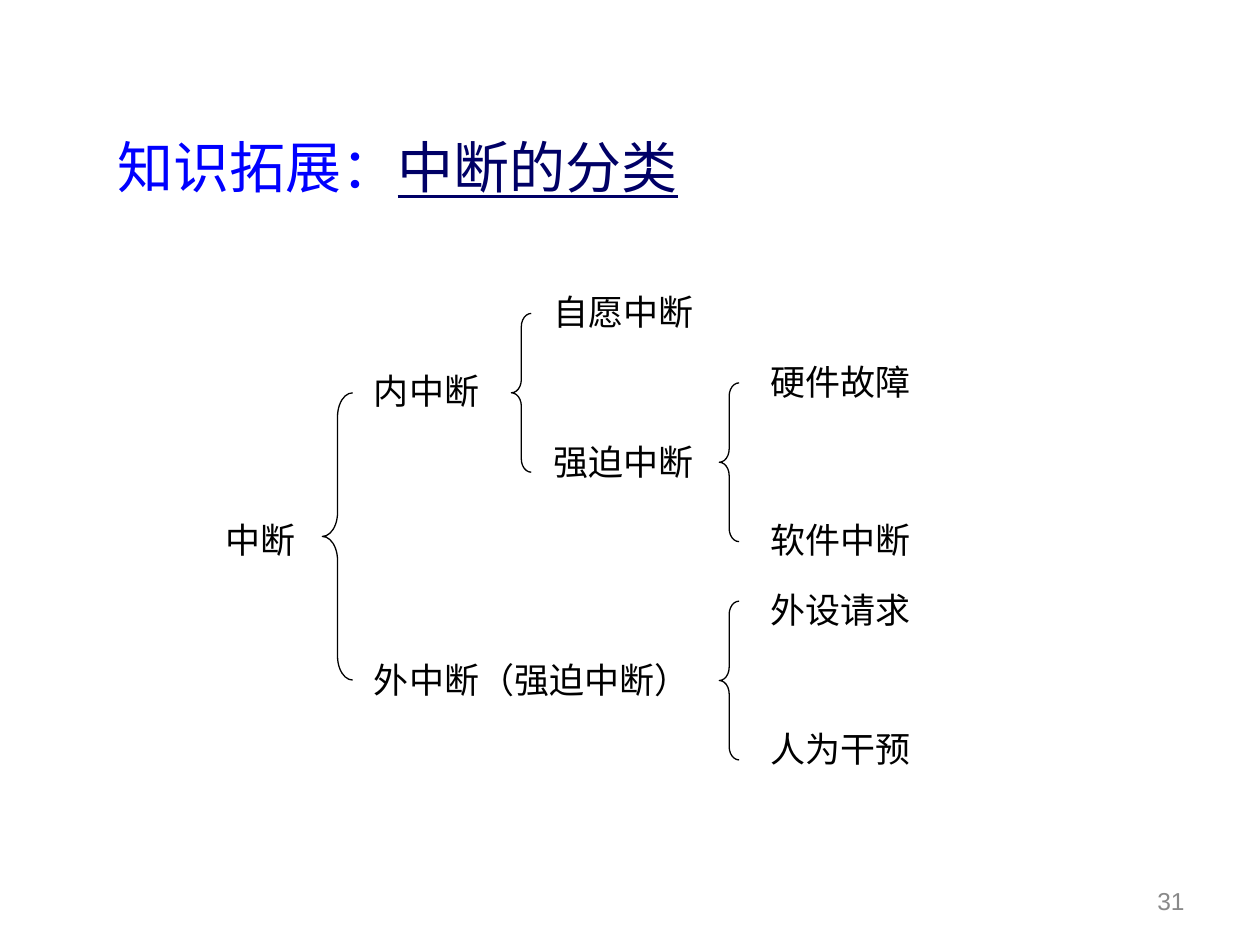
from pptx import Presentation
from pptx import util as u
from pptx.dml.color import RGBColor
from pptx.enum import shapes, text

COLUMNS = (4.29, 7.29, 10.9, 15.29)
LABELS = [  # column, top, width, wording
    (0, 10.31, 2.21, "中断"),
    (1, 7.32, 3, "内中断"),
    (1, 13.13, 7.21, "外中断（强迫中断）"),
    (2, 5.72, 3.81, "自愿中断"),
    (2, 8.74, 3.99, "强迫中断"),
    (3, 7.14, 3.81, "硬件故障"),
    (3, 10.31, 3.81, "软件中断"),
    (3, 11.73, 3.81, "外设请求"),
    (3, 14.53, 3.81, "人为干预"),
]
BRACES = [  # left, top, width, height
    (6.5, 7.92, 0.61, 5.79),
    (10.31, 6.32, 0.4, 3.2),
    (14.5, 7.72, 0.4, 3.2),
    (14.5, 12.12, 0.4, 3.2),
]


def rgb(value):
    return RGBColor.from_string(value)


def add_run(p, wording, size, font, color, underline=None):
    r = p.add_run()
    r.text = wording
    r.font.size = u.Pt(size)
    r.font.name = font
    r.font.color.rgb = rgb(color)
    r.font.underline = underline


def set_title(s):
    sp = s.shapes.title
    sp.left, sp.top, sp.width, sp.height = map(u.Cm, (0.84, 2.13, 23.72, 15.39))
    tf = sp.text_frame
    tf.vertical_anchor = text.MSO_ANCHOR.TOP
    tf.auto_size = text.MSO_AUTO_SIZE.NONE
    p = tf.paragraphs[0]
    p.alignment = text.PP_ALIGN.LEFT
    p.line_spacing = 1.3
    p.space_before = u.Pt(0)
    pPr = p._p.get_or_add_pPr()
    pPr.set("marL", str(u.Cm(2.74)))
    pPr.set("indent", str(u.Cm(-1.47)))
    add_run(p, "知识拓展：", 32, "Calibri", "0000FF")
    add_run(p, "中断的分类", 32, "Calibri", "000066", True)


def add_label(s, left, top, width, wording, height=1.12, size=20,
              color="000000", align=text.PP_ALIGN.LEFT):
    sp = s.shapes.add_textbox(*map(u.Cm, (left, top, width, height)))
    tf = sp.text_frame
    tf.word_wrap = True
    tf.vertical_anchor = text.MSO_ANCHOR.MIDDLE
    p = tf.paragraphs[0]
    p.alignment = align
    add_run(p, wording, size, "Arial", color)


def add_brace(s, left, top, width, height):
    """Add a left brace whose curves each take a twelfth of its height."""
    sp = s.shapes.add_shape(shapes.MSO_SHAPE.LEFT_BRACE,
                            *map(u.Cm, (left, top, width, height)))
    sp.adjustments[0] = height / 12 / width
    sp.shadow.inherit = False
    sp.fill.background()
    sp.line.color.rgb = rgb("000000")
    sp.line.width = u.Pt(0.75)


def main():
    prs = Presentation()
    prs.slide_width, prs.slide_height = u.Cm(25.4), u.Cm(19.05)
    s = prs.slides.add_slide(prs.slide_layouts[5])
    set_title(s)
    for column, top, width, wording in LABELS:
        add_label(s, COLUMNS[column], top, width, wording)
    for brace in BRACES:
        add_brace(s, *brace)
    add_label(s, 18.21, 17.65, 5.92, "31", height=1.02, size=14,
              color="898989", align=text.PP_ALIGN.RIGHT)
    prs.save("out.pptx")


if __name__ == "__main__":
    main()
